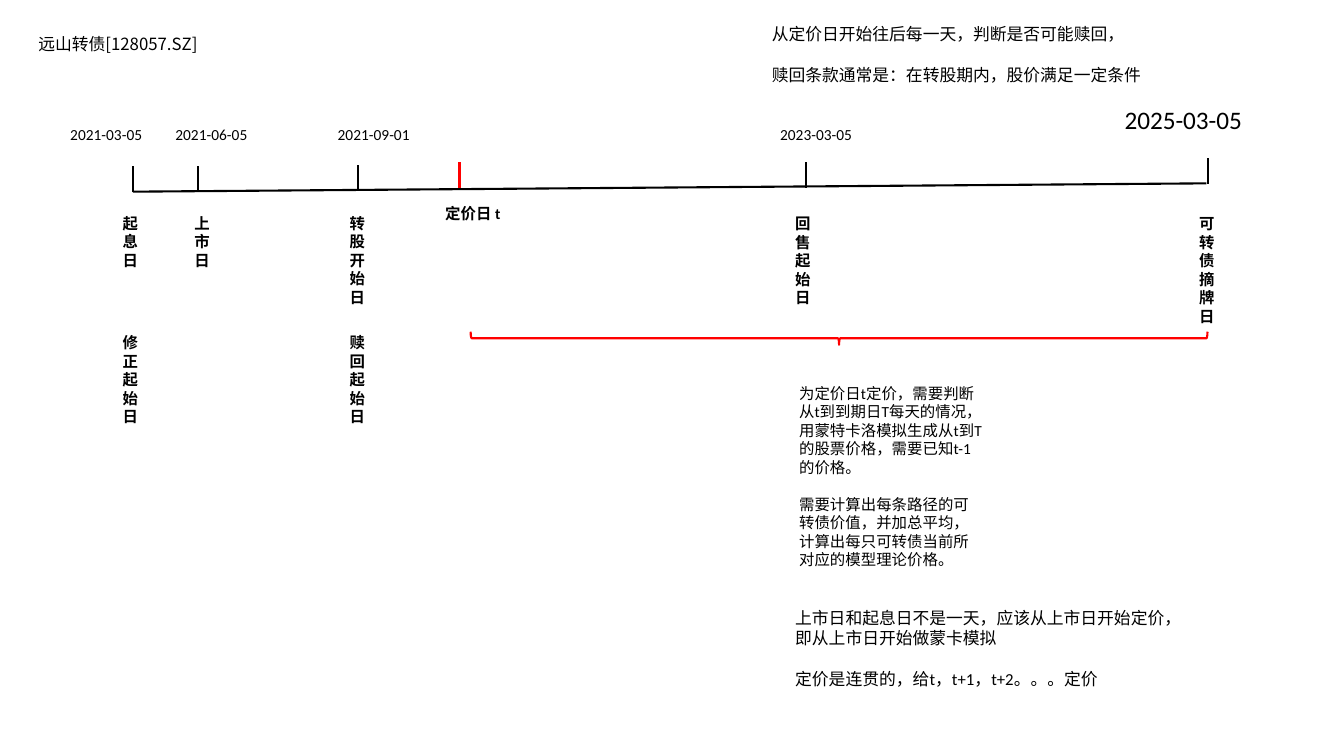
from lxml import etree
from pptx import Presentation
from pptx.dml.color import RGBColor
from pptx.enum.shapes import MSO_CONNECTOR, MSO_SHAPE
from pptx.enum.text import MSO_ANCHOR, MSO_AUTO_SIZE, PP_ALIGN
from pptx.oxml.ns import qn
from pptx.util import Cm, Pt

STRAIGHT = MSO_CONNECTOR.STRAIGHT
RIGHT_BRACE = MSO_SHAPE.RIGHT_BRACE
TOP = MSO_ANCHOR.TOP
NO_AUTOFIT = MSO_AUTO_SIZE.NONE
LEFT = PP_ALIGN.LEFT

LATIN_FONT = "Calibri"
CHINESE_FONT = "Noto Sans CJK SC"
BLACK = "000000"
RED = "FF0000"
TICK_LENGTH = 0.64

TICKS = [
    (3.35, 4.19, BLACK),
    (4.98, 4.19, BLACK),
    (9.02, 4.17, BLACK),
    (11.58, 4.09, RED),
    (20.32, 4.09, BLACK),
    (30.45, 3.99, BLACK),
]
DATES = [
    ("2021-03-05", 1.52, 3.02, 3.94, 11),
    ("2021-06-05", 4.17, 3.02, 3.94, 11),
    ("2021-09-01", 8.26, 3.02, 4.72, 11),
    ("2023-03-05", 19.41, 3.02, 4.72, 11),
    ("2025-03-05", 28.09, 2.51, 4.72, 18),
]
EVENTS = [
    ("起息日", 2.84, 5.26),
    ("上市日", 4.65, 5.26),
    ("转股开始日", 8.56, 5.26),
    ("回售起始日", 19.79, 5.28),
    ("可转债摘牌日", 29.97, 5.28),
    ("修正起始日", 2.84, 8.28),
    ("赎回起始日", 8.56, 8.28),
]
NOTES = [
    (["从定价日开始往后每一天，判断是否可能赎回，",
      "赎回条款通常是：在转股期内，股价满足一定条件"],
     (19.2, 0.48, 9.86, 1.8), 12),
    (["为定价日t定价，需要判断从t到到期日T每天的情况，用蒙特卡洛模拟生成从t到T的股票价格，需要已知t-1的价格。",
      "需要计算出每条路径的可转债价值，并加总平均，计算出每只可转债当前所对应的模型理论价格。"],
     (19.89, 9.55, 5.11, 4.95), 11),
    (["上市日和起息日不是一天，应该从上市日开始定价，即从上市日开始做蒙卡模拟",
      "定价是连贯的，给t，t+1，t+2。。。定价"],
     (19.79, 15.19, 9.86, 2.31), 12),
]


def color(value):
    """Return the colour for a hex string."""
    return RGBColor.from_string(value)


def apply_format(target, values):
    """Set each attribute of the target from a dict."""
    for name, value in values.items():
        setattr(target, name, value)


def write_text(shape, paragraphs, size, bold=False, wrap=True, font=LATIN_FONT):
    """Fill a shape with paragraphs set one line apart."""
    frame = shape.text_frame
    frame.text = "\n".join(paragraphs)
    apply_format(frame, {"word_wrap": wrap, "auto_size": NO_AUTOFIT, "vertical_anchor": TOP})
    for index, paragraph in enumerate(frame.paragraphs):
        gap = Pt(size * 1.2) if index else Pt(0)
        apply_format(paragraph, {"alignment": LEFT, "line_spacing": 1.0, "space_before": gap})
        for run in paragraph.runs:
            apply_format(run.font, {"name": font, "size": Pt(size), "bold": bold})
            run.font.color.rgb = color(BLACK)
            east_asian = etree.SubElement(run.font._element, qn("a:ea"))
            east_asian.set("typeface", CHINESE_FONT)


def add_title(slide, text):
    """Place the bond name in the title placeholder."""
    title = slide.shapes.title
    apply_format(title, {"left": Cm(0.71), "top": Cm(0.71), "width": Cm(4.78), "height": Cm(0.76)})
    write_text(title, [text], 12, wrap=False, font=CHINESE_FONT)


def add_text(slide, paragraphs, box, size, bold=False):
    """Add a text box at left, top, width and height in centimetres."""
    shape = slide.shapes.add_textbox(*map(Cm, box))
    write_text(shape, paragraphs, size, bold)


def add_event(slide, label, left, top):
    """Add a bold event label stacked one character to a line."""
    height = 0.28 + 0.47 * len(label)
    add_text(slide, [label], (left, top, 1.04, height), 11, bold=True)


def add_line(slide, start, end, stroke):
    """Add a straight line without shadow between two points."""
    connector = slide.shapes.add_connector(STRAIGHT, *map(Cm, start + end))
    connector.line.color.rgb = color(stroke)
    connector.line.width = Pt(1.5)
    etree.SubElement(connector._element.spPr, qn("a:effectLst"))


def add_brace(slide):
    """Add the red brace that spans pricing day to delisting."""
    brace = slide.shapes.add_shape(RIGHT_BRACE, Cm(20.98), Cm(-0.76), Cm(0.33), Cm(18.57))
    brace.rotation = 90
    brace.shadow.inherit = False
    brace.fill.background()
    brace.line.color.rgb = color(RED)
    brace.line.width = Pt(1.5)


def main():
    """Build the convertible bond timeline slide."""
    presentation = Presentation()
    apply_format(presentation, {"slide_width": Cm(33.87), "slide_height": Cm(19.05)})
    slide = presentation.slides.add_slide(presentation.slide_layouts.get_by_name("Title Only"))
    add_title(slide, "远山转债[128057.SZ]")
    add_line(slide, (3.35, 4.83), (30.4, 4.62), BLACK)
    for x, top, stroke in TICKS:
        add_line(slide, (x, top), (x, top + TICK_LENGTH), stroke)
    for date, left, top, width, size in DATES:
        add_text(slide, [date], (left, top, width, 0.06 * size + 0.08), size)
    for label, left, top in EVENTS:
        add_event(slide, label, left, top)
    add_text(slide, ["定价日 t"], (10.97, 5.03, 2.06, 0.74), 11, bold=True)
    add_brace(slide)
    for paragraphs, box, size in NOTES:
        add_text(slide, paragraphs, box, size)
    presentation.save("out.pptx")


if __name__ == "__main__":
    main()
